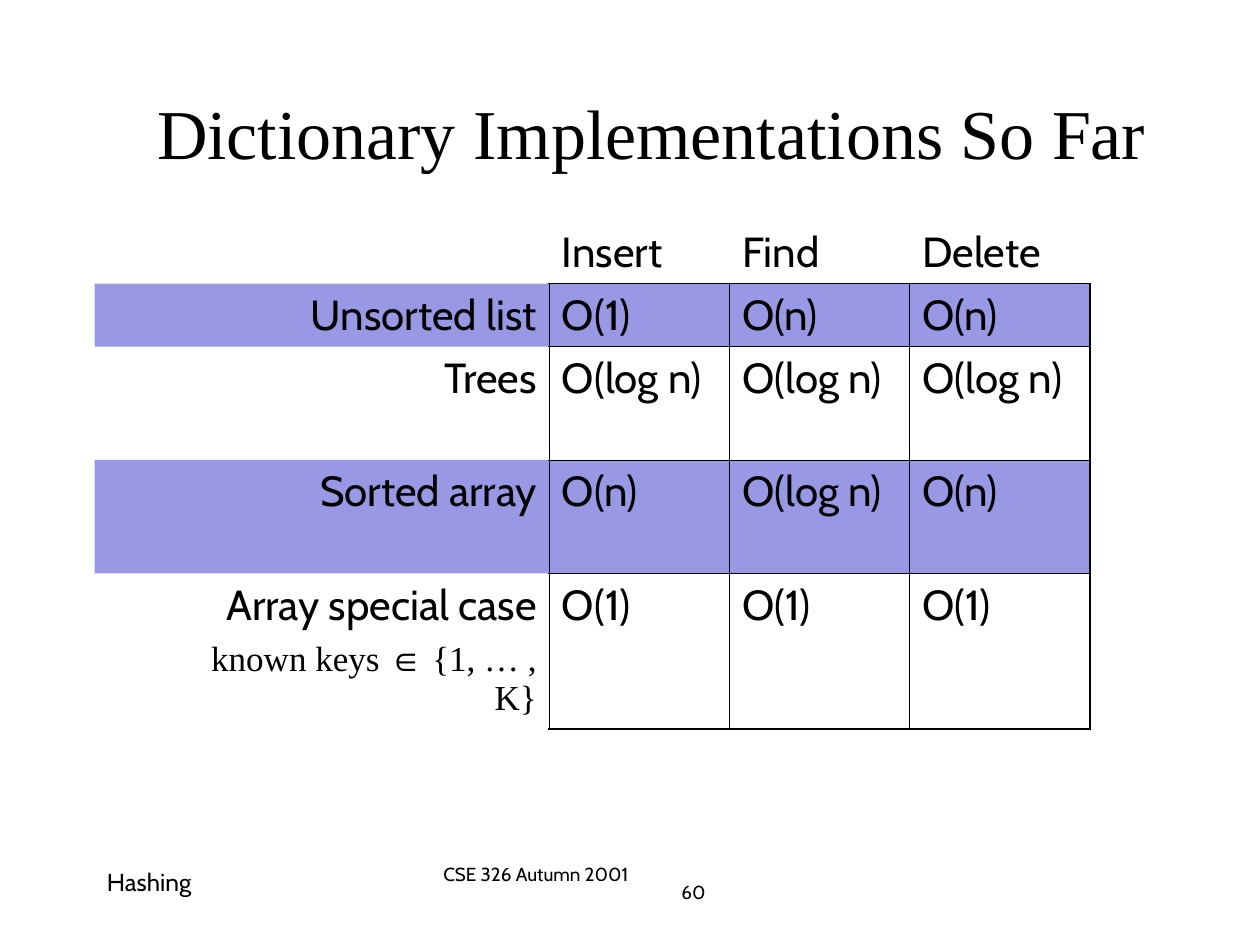
from lxml.etree import SubElement
from pptx import Presentation
from pptx.dml.color import RGBColor
from pptx.enum.text import MSO_ANCHOR, PP_ALIGN
from pptx.oxml.ns import qn
from pptx.util import Inches, Pt

BLACK = RGBColor(0x00, 0x00, 0x00)
BAND = RGBColor(0x33, 0x33, 0xCC)
SANS = "Cabin"
SERIF = "Times New Roman"
PLAIN_TABLE_STYLE = "{2D5ABB26-0587-4C30-8999-92F81FD0307C}"
THICK, THIN = Pt(1.08), Pt(0.45)

COLUMN_WIDTHS = [3.61, 1.43, 1.43, 1.43]
ROW_HEIGHTS = [0.5, 0.5, 0.9, 0.9, 0.98]
ROWS = [
    ["", "Insert", "Find", "Delete"],
    ["Unsorted list", "O(1)", "O(n)", "O(n)"],
    ["Trees", "O(log n)", "O(log n)", "O(log n)"],
    ["Sorted array", "O(n)", "O(log n)", "O(n)"],
    ["Array special case", "O(1)", "O(1)", "O(1)"],
]
KEY_RANGE = [("known keys ", SERIF), ("∈", "Arial"), (" {1, … , K}", SERIF)]


def format_run(run, font_name, size):
    run.font.name = font_name
    run.font.size = Pt(size)
    run.font.color.rgb = BLACK


def add_text(slide, box, text, font_name, size, alignment=PP_ALIGN.LEFT):
    shape = slide.shapes.add_textbox(*map(Inches, box))
    text_frame = shape.text_frame
    text_frame.word_wrap = True
    text_frame.text = text
    paragraph = text_frame.paragraphs[0]
    paragraph.alignment = alignment
    for run in paragraph.runs:
        format_run(run, font_name, size)
    return text_frame


def add_tab_stops(paragraph, count):
    tab_list = SubElement(paragraph._p.get_or_add_pPr(), qn("a:tabLst"))
    for position in range(count):
        SubElement(tab_list, qn("a:tab"), pos=str(Inches(position)), algn="l")


def set_borders(cell, row, column):
    last_row, last_column = len(ROWS) - 1, len(COLUMN_WIDTHS) - 1
    inside = row > 0 and column > 0
    bottom = THICK if row in (0, last_row) else THIN
    borders = {
        "L": (THICK if column == 1 else THIN) if inside else None,
        "R": (THICK if column == last_column else THIN) if inside else None,
        "T": (THICK if row == 1 else THIN) if inside else None,
        "B": bottom if column > 0 else None,
    }
    properties = cell._tc.get_or_add_tcPr()
    for side, width in borders.items():
        if width is not None:
            line = SubElement(properties, qn(f"a:ln{side}"), w=str(width))
            fill = SubElement(line, qn("a:solidFill"))
            SubElement(fill, qn("a:srgbClr"), val=str(BLACK))


def set_fill(cell, banded):
    if not banded:
        cell.fill.background()
        return
    cell.fill.solid()
    cell.fill.fore_color.rgb = BAND
    color = cell._tc.tcPr.find(f"{qn('a:solidFill')}/{qn('a:srgbClr')}")
    SubElement(color, qn("a:alpha"), val="50000")


def fill_cell(cell, text, row, column):
    cell.margin_left = cell.margin_right = Inches(0.1)
    cell.margin_top = cell.margin_bottom = Inches(0.05)
    set_borders(cell, row, column)
    set_fill(cell, row % 2 == 1)
    cell.text_frame.text = text
    paragraph = cell.text_frame.paragraphs[0]
    paragraph.alignment = PP_ALIGN.RIGHT if column == 0 else PP_ALIGN.LEFT
    for run in paragraph.runs:
        format_run(run, SANS, 24)


def add_key_range(cell):
    paragraph = cell.text_frame.add_paragraph()
    paragraph.level = 1
    paragraph.alignment = PP_ALIGN.RIGHT
    paragraph.space_before = Pt(5)
    properties = paragraph._p.get_or_add_pPr()
    properties.set("marL", str(Inches(0.5)))
    properties.set("indent", "0")
    for text, font_name in KEY_RANGE:
        run = paragraph.add_run()
        run.text = text
        format_run(run, font_name, 20)


def add_cost_table(slide):
    frame = slide.shapes.add_table(
        len(ROWS), len(COLUMN_WIDTHS), Inches(0.75), Inches(1.75),
        Inches(sum(COLUMN_WIDTHS)), Inches(sum(ROW_HEIGHTS)))
    table = frame.table
    table.first_row = table.horz_banding = False
    table._tbl.tblPr.find(qn("a:tableStyleId")).text = PLAIN_TABLE_STYLE
    for column, width in zip(table.columns, COLUMN_WIDTHS):
        column.width = Inches(width)
    for row, height in zip(table.rows, ROW_HEIGHTS):
        row.height = Inches(height)
    for row, texts in enumerate(ROWS):
        for column, text in enumerate(texts):
            fill_cell(table.cell(row, column), text, row, column)
    add_key_range(table.cell(len(ROWS) - 1, 0))


def main():
    presentation = Presentation()
    presentation.slide_width = Inches(10)
    presentation.slide_height = Inches(7.5)
    slide = presentation.slides.add_slide(presentation.slide_layouts[6])

    add_text(slide, (0.75, 6.83, 2.08, 0.5), "Hashing", SANS, 14)
    course = add_text(slide, (3.42, 6.83, 3.17, 0.5),
                      "CSE 326 Autumn 2001\t\t\t\t60", SANS, 10.8, PP_ALIGN.CENTER)
    course.paragraphs[0].line_spacing = 0.8
    add_tab_stops(course.paragraphs[0], 8)
    title = add_text(slide, (0.67, 0.42, 9, 1.25),
                     "Dictionary Implementations So Far", SERIF, 40, PP_ALIGN.CENTER)
    title.vertical_anchor = MSO_ANCHOR.MIDDLE
    add_cost_table(slide)

    presentation.save("out.pptx")


if __name__ == "__main__":
    main()
